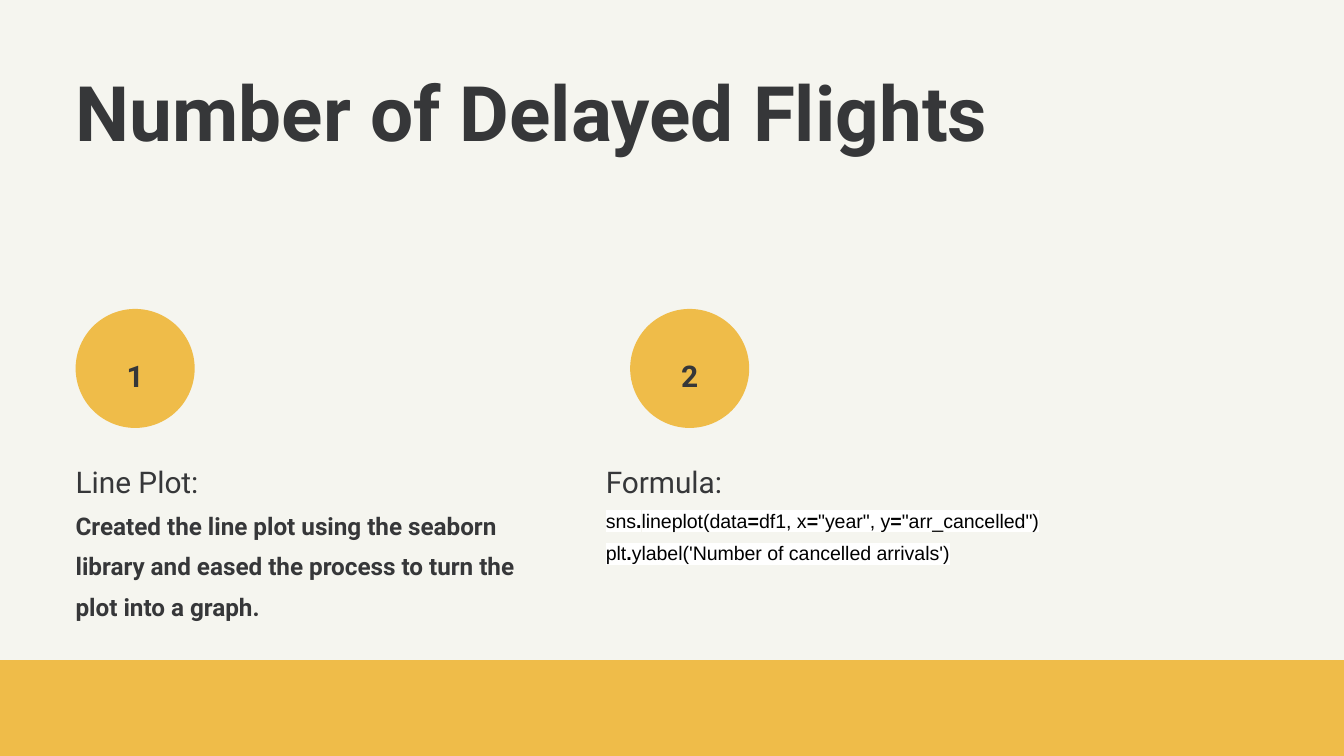
from copy import deepcopy
from dataclasses import dataclass

from lxml.etree import SubElement
from pptx import Presentation
from pptx.dml.color import RGBColor
from pptx.enum.shapes import MSO_SHAPE as Shape
from pptx.enum.text import MSO_ANCHOR as Anchor, PP_ALIGN as Align
from pptx.oxml.ns import qn
from pptx.util import Cm, Pt


@dataclass(frozen=True)
class Theme:
    paper: str = "F5F5EF"
    accent: str = "EFBC49"
    ink: str = "363739"
    code_ink: str = "000000"
    code_back: str = "FFFFFF"
    text_font: str = "Roboto"
    code_font: str = "Arial"
    title_size: float = 41
    heading_size: float = 16
    body_size: float = 13
    code_size: float = 10.5


THEME = Theme()
WIDTH, HEIGHT = Cm(25.4), Cm(14.29)
MARGIN = Cm(1.43)
BADGE_TOP, BADGE_SIZE = Cm(5.84), Cm(2.25)
NUMBER_TOP, NUMBER_WIDTH, NUMBER_HEIGHT = Cm(6.6), Cm(1.07), Cm(0.69)
SECTION_TOP, SECTION_WIDTH, SECTION_HEIGHT = Cm(8.49), Cm(8.79), Cm(3.88)
BAND_TOP = Cm(12.48)

# Bold operators alternate with plain code, starting with plain code.
CODE_LINES = [
    ["sns", ".", "lineplot(data", "=", "df1, x", "=", '"year", y', "=", '"arr_cancelled")'],
    ["plt", ".", "ylabel('Number of cancelled arrivals')"],
]


def set_font(font, size, bold=False, name=THEME.text_font, color=THEME.ink):
    font.name, font.size, font.bold = name, Pt(size), bold
    font.color.rgb = RGBColor.from_string(color)


def add_filled(slide, preset, left, top, width, height):
    block = slide.shapes.add_shape(preset, left, top, width, height)
    block.shadow.inherit = False
    block.fill.solid()
    block.fill.fore_color.rgb = RGBColor.from_string(THEME.accent)
    block.line.fill.background()


def add_text_frame(slide, left, top, width, height):
    """Add a wrapping text box without insets and return its frame."""
    frame = slide.shapes.add_textbox(left, top, width, height).text_frame
    frame.margin_left = frame.margin_top = frame.margin_right = frame.margin_bottom = 0
    frame.word_wrap = True
    frame.vertical_anchor = Anchor.TOP
    return frame


def add_line(slide, text, left, top, width, height, size, spacing, align=Align.LEFT):
    line = add_text_frame(slide, left, top, width, height).paragraphs[0]
    line.text = text
    line.alignment, line.line_spacing = align, spacing
    set_font(line.font, size, bold=True)


def add_badge(slide, number, left):
    add_filled(slide, Shape.OVAL, left, BADGE_TOP, BADGE_SIZE, BADGE_SIZE)
    number_left = left + (BADGE_SIZE - NUMBER_WIDTH) // 2
    add_line(slide, number, number_left, NUMBER_TOP, NUMBER_WIDTH, NUMBER_HEIGHT,
             THEME.heading_size, 1.25, Align.CENTER)


def add_section(slide, heading, left):
    """Add a heading ending in a line break and return the text frame."""
    frame = add_text_frame(slide, left, SECTION_TOP, SECTION_WIDTH, SECTION_HEIGHT)
    first = frame.paragraphs[0]
    first.line_spacing = 1.4
    title = first.add_run()
    title.text = heading
    set_font(title.font, THEME.heading_size)
    first.add_line_break()
    first._p[-1].append(deepcopy(title._r.rPr))  # the break keeps the heading's size
    return frame


def add_code(paragraph, pieces):
    for index, piece in enumerate(pieces):
        code = paragraph.add_run()
        code.text = piece
        set_font(code.font, THEME.code_size, index % 2 == 1, THEME.code_font, THEME.code_ink)
        properties = code._r.rPr
        highlight = SubElement(properties, qn("a:highlight"))
        SubElement(highlight, qn("a:srgbClr"), val=THEME.code_back)
        properties.find(qn("a:solidFill")).addnext(highlight)


def main():
    deck = Presentation()
    deck.slide_width, deck.slide_height = WIDTH, HEIGHT
    slide = deck.slides.add_slide(deck.slide_layouts[6])
    slide.background.fill.solid()
    slide.background.fill.fore_color.rgb = RGBColor.from_string(THEME.paper)

    add_line(slide, "Number of Delayed Flights", MARGIN, MARGIN, Cm(18), Cm(2),
             THEME.title_size, 0.9)
    add_badge(slide, "2", Cm(11.91))
    add_badge(slide, "1", MARGIN)
    add_filled(slide, Shape.RECTANGLE, 0, BAND_TOP, WIDTH, HEIGHT - BAND_TOP)

    plot = add_section(slide, "Line Plot:", MARGIN)
    summary = plot.paragraphs[0].add_run()
    summary.text = ("Created the line plot using the seaborn library and eased "
                    "the process to turn the plot into a graph.")
    set_font(summary.font, THEME.body_size, bold=True)

    formula = add_section(slide, "Formula:", Cm(11.45))
    add_code(formula.paragraphs[0], CODE_LINES[0])
    label_line = formula.add_paragraph()
    label_line.line_spacing = 1.4
    add_code(label_line, CODE_LINES[1])

    deck.save("out.pptx")


if __name__ == "__main__":
    main()
